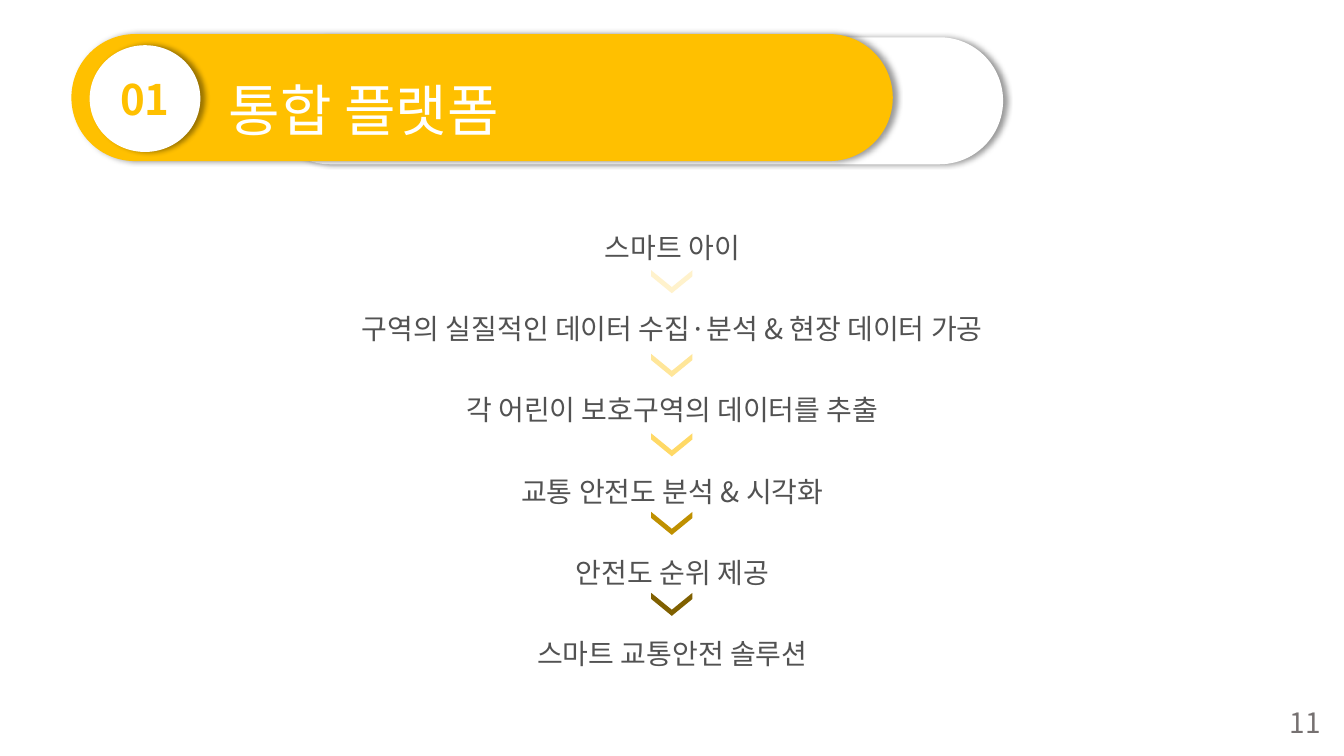
from lxml.etree import SubElement
from pptx import Presentation
from pptx.dml.color import RGBColor
from pptx.enum.shapes import MSO_SHAPE as Shape
from pptx.enum.text import MSO_ANCHOR as Anchor, MSO_AUTO_SIZE as AutoSize, PP_ALIGN as Align
from pptx.oxml.ns import qn
from pptx.util import Cm, Pt

FONT = "Noto Sans CJK KR"
WHITE = RGBColor(0xFF, 0xFF, 0xFF)
AMBER = RGBColor(0xFF, 0xC0, 0x00)
BLACK = RGBColor(0x00, 0x00, 0x00)
TEXT_GRAY = RGBColor(0x52, 0x52, 0x52)
PAGE_GRAY = RGBColor(0x76, 0x71, 0x71)

STEPS = [
    "스마트 아이",
    "구역의 실질적인 데이터 수집·분석 & 현장 데이터 가공",
    "각 어린이 보호구역의 데이터를 추출",
    "교통 안전도\u00a0분석 & 시각화",
    "안전도 순위 제공",
    "스마트 교통안전 솔루션",
]
# Top edge in cm and colour of the chevron after each step
CHEVRONS = [
    (6.58, RGBColor(0xFF, 0xF2, 0xCC)),
    (8.69, RGBColor(0xFF, 0xE6, 0x99)),
    (10.69, RGBColor(0xFF, 0xD9, 0x66)),
    (12.67, RGBColor(0xBF, 0x90, 0x00)),
    (14.71, RGBColor(0x80, 0x60, 0x00)),
]


def write_lines(frame, lines, size, color, align, spacing=1.0, gap=0, bold=False):
    """Fill the frame with one paragraph a line, gap points apart."""
    frame.text = "\n".join(lines)
    frame.word_wrap = True
    frame.auto_size = AutoSize.NONE
    for index, paragraph in enumerate(frame.paragraphs):
        paragraph.alignment = align
        paragraph.line_spacing = spacing
        paragraph.space_before = Pt(gap if index else 0)
        for run in paragraph.runs:
            run.font.name = FONT
            run.font.size = Pt(size)
            run.font.bold = bold
            run.font.color.rgb = color


def add_filled(slide, kind, left, top, width, height, color):
    shape = slide.shapes.add_shape(kind, Cm(left), Cm(top), Cm(width), Cm(height))
    shape.shadow.inherit = False
    shape.fill.solid()
    shape.fill.fore_color.rgb = color
    shape.line.fill.background()
    return shape


def cast_shadow(shape):
    """Give the shape a soft shadow falling to the right."""
    effects = shape._element.spPr.find(qn("a:effectLst"))
    shadow = SubElement(effects, qn("a:outerShdw"), blurRad=str(Pt(4)),
                        dist=str(Pt(3)), dir="0", algn="l", rotWithShape="0")
    color = SubElement(shadow, qn("a:srgbClr"), val=str(BLACK))
    SubElement(color, qn("a:alpha"), val="40000")


def add_pill(slide, left, top, width, color):
    pill = add_filled(slide, Shape.ROUNDED_RECTANGLE, left, top, width, 3.2, color)
    pill.adjustments[0] = 0.5
    cast_shadow(pill)


def add_number_badge(slide, number):
    badge = add_filled(slide, Shape.OVAL, 2.26, 1.14, 2.79, 2.69, WHITE)
    cast_shadow(badge)
    write_lines(badge.text_frame, [number], 30, AMBER, Align.CENTER, bold=True)
    badge.text_frame.vertical_anchor = Anchor.MIDDLE


def place_title(slide, text):
    title = slide.shapes.title
    title.left, title.top, title.width, title.height = Cm(5.51), Cm(0.94), Cm(18.31), Cm(2.54)
    write_lines(title.text_frame, [text], 40, WHITE, Align.JUSTIFY, spacing=1.5)
    title.text_frame.vertical_anchor = Anchor.TOP
    # Bring the title in front of the banner
    slide.shapes._spTree.append(title._element)


def add_steps(slide):
    steps = slide.shapes.add_textbox(Cm(2.34), Cm(4.88), Cm(29.21), Cm(12.09))
    write_lines(steps.text_frame, STEPS, 20, TEXT_GRAY, Align.CENTER, spacing=2.0, gap=10)
    steps.text_frame.vertical_anchor = Anchor.MIDDLE


def add_down_chevron(slide, top, color):
    chevron = add_filled(slide, Shape.CHEVRON, 16.64, top, 0.58, 1.04, color)
    chevron.rotation = 90
    chevron.adjustments[0] = 0.734


def add_page_number(slide, number):
    page = slide.shapes.add_textbox(Cm(32.26), Cm(17.65), Cm(1.6), Cm(1.12))
    write_lines(page.text_frame, [number], 20, PAGE_GRAY, Align.LEFT)


def main():
    deck = Presentation()
    deck.slide_width, deck.slide_height = Cm(33.87), Cm(19.05)
    slide = deck.slides.add_slide(deck.slide_layouts[5])

    add_steps(slide)
    add_pill(slide, 6.71, 0.94, 18.57, WHITE)
    add_pill(slide, 1.8, 0.86, 20.7, AMBER)
    add_number_badge(slide, "01")
    place_title(slide, "통합 플랫폼")
    add_page_number(slide, "11")
    for top, color in CHEVRONS:
        add_down_chevron(slide, top, color)

    deck.save("out.pptx")


if __name__ == "__main__":
    main()
